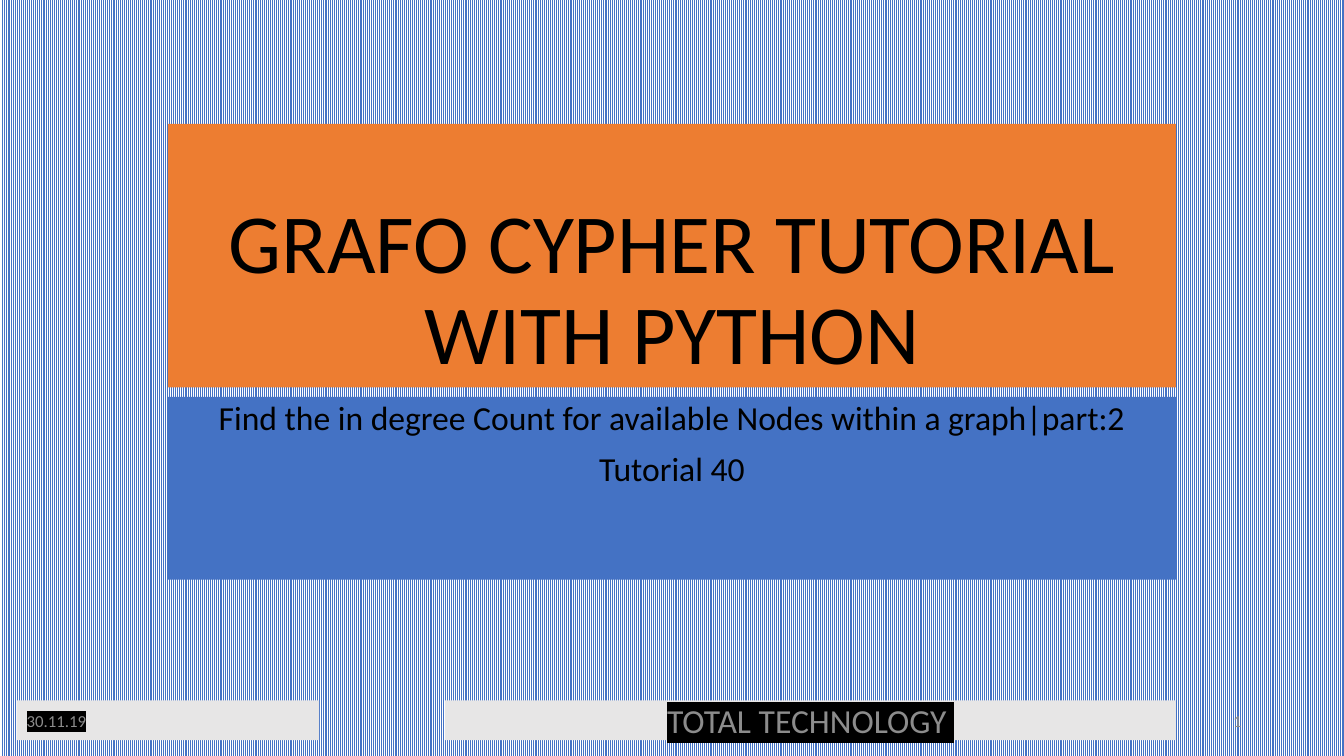
from pptx import Presentation
from pptx.dml.color import RGBColor
from pptx.enum import dml, shapes, text
from pptx.oxml import parse_xml
from pptx.oxml.ns import nsdecls
from pptx.util import Pt

SCALE = 9525
BLACK = "000000"
BLUE = "4472C4"
GREY = "8C8C8C"
PALE = "E7E6E6"
ORANGE = "ED7D31"
ALIGN = text.PP_ALIGN
ANCHOR = text.MSO_ANCHOR


def px(*sizes):
    return [size * SCALE for size in sizes]


def color(code):
    return RGBColor.from_string(code)


def paint(shape, code):
    shape.fill.solid()
    shape.fill.fore_color.rgb = color(code)
    shape.line.fill.background()


def mark(run, code):
    tag = parse_xml(
        f'<a:highlight {nsdecls("a")}><a:srgbClr val="{code}"/></a:highlight>'
    )
    run.font.fill._xPr.find("{*}solidFill").addnext(tag)


def write(shape, lines, size=12, ink=BLACK, align=ALIGN.CENTER,
          anchor=ANCHOR.MIDDLE, space=1.0, gap=0, light=None):
    frame = shape.text_frame
    frame.word_wrap = True
    frame.auto_size = text.MSO_AUTO_SIZE.NONE
    frame.vertical_anchor = anchor
    for i, line in enumerate(lines):
        para = frame.add_paragraph() if i else frame.paragraphs[0]
        para.alignment = align
        para.line_spacing = space
        para.space_before = Pt(gap if i else 0)
        run = para.add_run()
        run.text = line
        run.font.size = Pt(size)
        run.font.name = "Calibri"
        run.font.color.rgb = color(ink)
        if light:
            mark(run, light)


def holder(shape, box, fill, lines, **style):
    shape.left, shape.top, shape.width, shape.height = px(*box)
    paint(shape, fill)
    write(shape, lines, space=0.9, **style)


def strip(slide, box, line, **style):
    shape = slide.shapes.add_shape(shapes.MSO_SHAPE.RECTANGLE, *px(*box))
    shape.shadow.inherit = False
    paint(shape, PALE)
    write(shape, [line], ink=GREY, light=BLACK, **style)


def label(slide, box, line, **style):
    write(slide.shapes.add_textbox(*px(*box)), [line], ink=GREY, **style)


def stripes(slide):
    fill = slide.background.fill
    fill.patterned()
    fill.pattern = dml.MSO_PATTERN.LIGHT_VERTICAL
    fill.fore_color.rgb = color(BLUE)
    fill.back_color.rgb = color("FFFFFF")


def main():
    deck = Presentation()
    deck.slide_width, deck.slide_height = px(1280, 720)
    slide = deck.slides.add_slide(deck.slide_layouts[0])
    stripes(slide)
    holder(slide.shapes.title, (160, 118, 960, 251), ORANGE,
           ["GRAFO CYPHER TUTORIAL WITH PYTHON"],
           size=60, anchor=ANCHOR.BOTTOM)
    holder(slide.placeholders[1], (160, 378, 960, 174), BLUE,
           ["Find the in degree Count for available Nodes within a graph|part:2",
            "Tutorial 40"],
           size=24, anchor=ANCHOR.TOP, gap=10)
    strip(slide, (16, 667, 288, 38), "30.11.19", align=ALIGN.LEFT)
    strip(slide, (424, 667, 696, 38), "TOTAL TECHNOLOGY ", size=24)
    label(slide, (904, 667, 288, 38), "1", align=ALIGN.RIGHT)
    deck.save("out.pptx")


if __name__ == "__main__":
    main()
